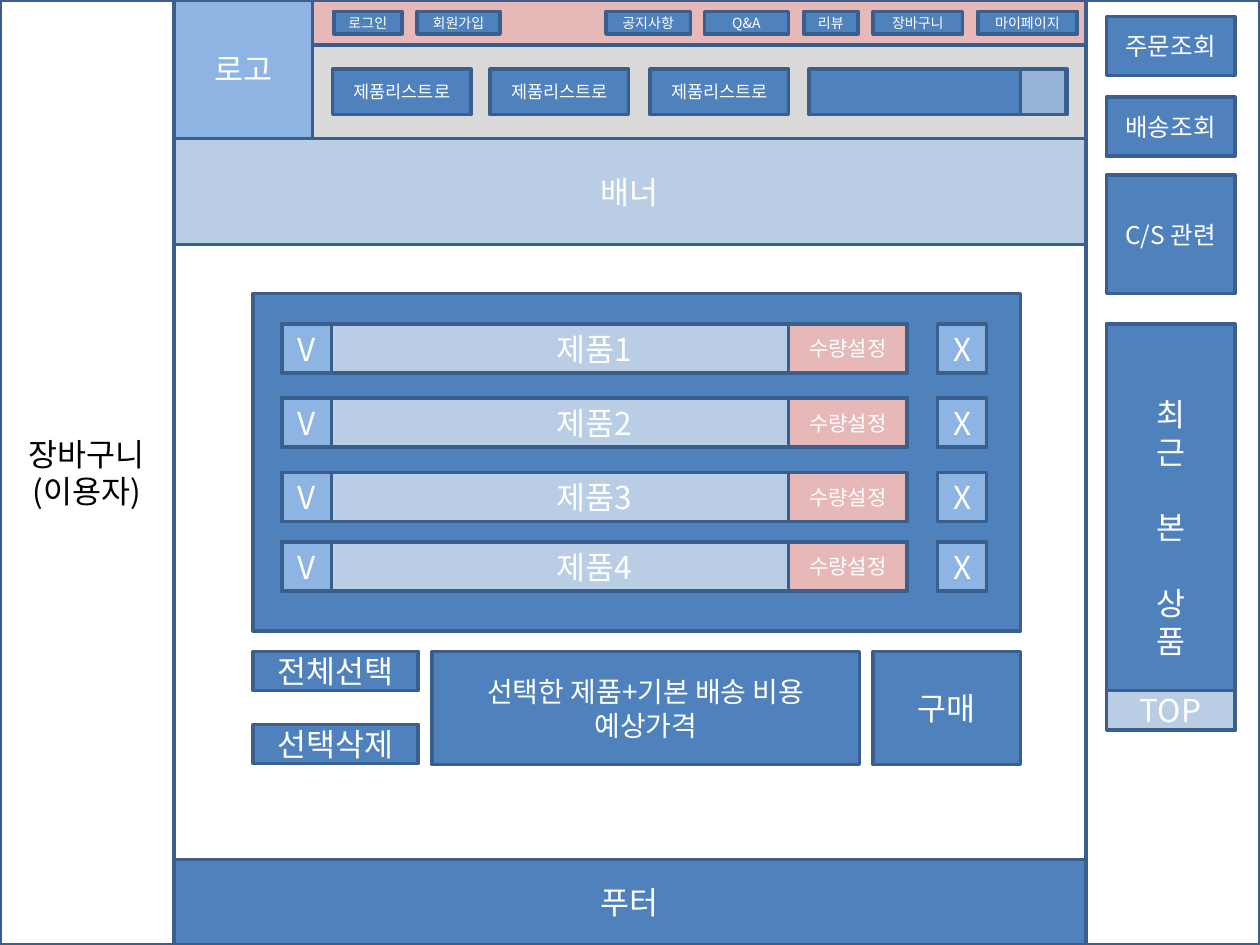
from lxml.etree import SubElement
from pptx import Presentation
from pptx.dml.color import RGBColor
from pptx.enum.shapes import MSO_SHAPE
from pptx.enum.text import MSO_ANCHOR, PP_ALIGN
from pptx.oxml.ns import qn
from pptx.util import Inches, Pt

FONT = "Noto Sans CJK KR"
BLUE, SKY, PALE, STEEL = "4F81BD", "8EB4E3", "B9CDE5", "95B3D7"
PINK, GRAY, WHITE, BLACK, BORDER = "E6B9B8", "D9D9D9", "FFFFFF", "000000", "3A5F8C"


def color(value):
    return RGBColor.from_string(value)


def add_line(paragraph, text, size, text_color):
    paragraph.alignment = PP_ALIGN.CENTER
    run = paragraph.add_run()
    run.text = text
    run.font.size = Pt(size)
    run.font.name = FONT
    run.font.color.rgb = color(text_color)
    SubElement(run.font._element, qn("a:ea")).set("typeface", FONT)


def add_box(slide, left, top, width, height, fill, lines=(), size=18,
            text_color=WHITE, gaps=()):
    shape = slide.shapes.add_shape(MSO_SHAPE.RECTANGLE, Inches(left), Inches(top),
                                   Inches(width), Inches(height))
    shape.shadow.inherit = False
    shape.fill.solid()
    shape.fill.fore_color.rgb = color(fill)
    shape.line.color.rgb = color(BORDER)
    shape.line.width = Pt(2)
    frame = shape.text_frame
    frame.word_wrap = True
    frame.vertical_anchor = MSO_ANCHOR.MIDDLE
    frame.margin_left = frame.margin_right = Inches(0.02)
    for index, text in enumerate(lines):
        paragraph = frame.paragraphs[0] if index == 0 else frame.add_paragraph()
        add_line(paragraph, text, size, text_color)
        if index in gaps:
            paragraph.space_before = Pt(21.6)
    return shape


def add_header(slide):
    add_box(slide, 1.38, 0, 7.24, 1.1, GRAY)
    add_box(slide, 1.38, 0, 1.1, 1.1, SKY, ["로고"])
    add_box(slide, 2.48, 0, 6.14, 0.36, PINK)
    for left in (2.64, 3.89, 5.16):
        add_box(slide, left, 0.55, 1.1, 0.36, BLUE, ["제품리스트로"], 10)
    add_box(slide, 6.42, 0.55, 2.05, 0.36, BLUE)
    add_box(slide, 8.1, 0.55, 0.36, 0.36, STEEL)
    menu = [("로그인", 2.65, 0.54), ("회원가입", 3.31, 0.66), ("공지사항", 4.81, 0.67),
            ("Q&A", 5.59, 0.67), ("리뷰", 6.38, 0.43), ("장바구니", 6.93, 0.71),
            ("마이페이지", 7.76, 0.79)]
    for text, left, width in menu:
        add_box(slide, left, 0.09, width, 0.18, BLUE, [text], 8)
    add_box(slide, 1.38, 1.1, 7.24, 0.84, PALE, ["배너"])


def add_sidebar(slide):
    for text, top, height in (("주문조회", 0.13, 0.47), ("배송조회", 0.77, 0.47),
                              ("C/S 관련", 1.39, 0.94)):
        add_box(slide, 8.78, top, 1.02, height, BLUE, [text], 14)
    add_box(slide, 8.78, 2.57, 1.02, 3.23, BLUE, list("최근본상품"), gaps=(2, 3))
    add_box(slide, 8.78, 5.48, 1.02, 0.31, PALE, ["TOP"])


def add_cart(slide):
    add_box(slide, 2.01, 2.33, 6.09, 2.68, BLUE)
    for number, top in enumerate((2.57, 3.16, 3.75, 4.3), start=1):
        add_box(slide, 2.24, top, 4.96, 0.39, PALE, [f"제품{number}"])
        add_box(slide, 2.24, top, 0.39, 0.39, SKY, ["V"])
        add_box(slide, 6.26, top, 0.94, 0.39, PINK, ["수량설정"], 12)
        add_box(slide, 7.44, top, 0.39, 0.39, SKY, ["X"])
    for text, top in (("전체선택", 5.17), ("선택삭제", 5.75)):
        add_box(slide, 2.01, top, 1.31, 0.31, BLUE, [text])
    add_box(slide, 3.43, 5.17, 3.39, 0.9, BLUE,
            ["선택한 제품+기본 배송 비용", "예상가격"], 16)
    add_box(slide, 6.93, 5.17, 1.17, 0.9, BLUE, ["구매"])


def main():
    presentation = Presentation()
    presentation.slide_width = Inches(10)
    presentation.slide_height = Inches(7.5)
    slide = presentation.slides.add_slide(presentation.slide_layouts[6])
    add_box(slide, 8.62, 0, 1.38, 7.5, WHITE)
    add_box(slide, 0, 0, 1.38, 7.5, WHITE, ["장바구니", "(이용자)"], text_color=BLACK)
    add_header(slide)
    add_box(slide, 1.38, 6.82, 7.24, 0.68, BLUE, ["푸터"])
    add_sidebar(slide)
    add_cart(slide)
    presentation.save("out.pptx")


main()
